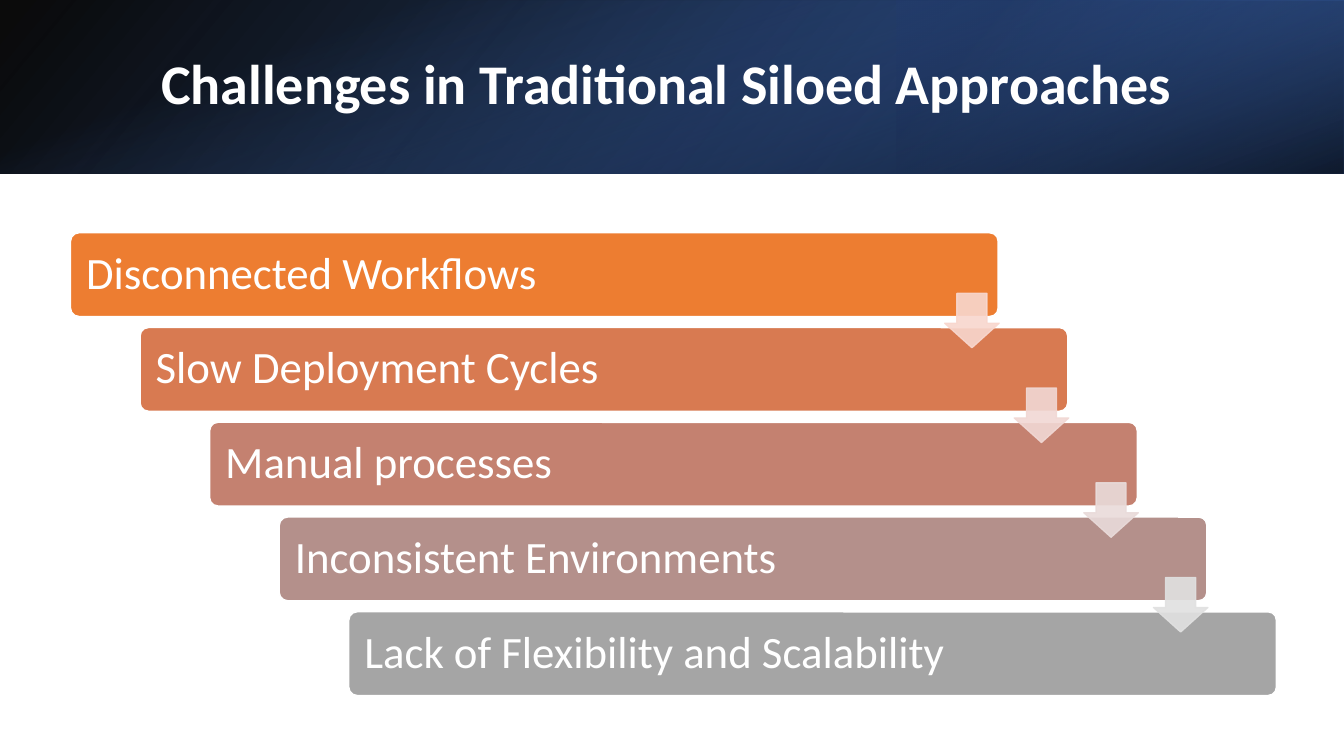
"""Build the slide on challenges in traditional siloed approaches."""
from lxml import etree
from pptx import Presentation
from pptx import util as u
from pptx.dml.color import RGBColor
from pptx.enum import shapes, text
from pptx.oxml.ns import qn

TITLE = "Challenges in Traditional Siloed Approaches"
CHALLENGES = [
    ("Disconnected Workflows", "ED7D31"),
    ("Slow Deployment Cycles", "D87A51"),
    ("Manual processes", "C48170"),
    ("Inconsistent Environments", "B4908B"),
    ("Lack of Flexibility and Scalability", "A5A5A5"),
]
ARROW_COLOURS = ["F8D7CE", "F1D8D4", "E9DBDA", "E1E1E1"]
BANNER_LAYERS = [
    {"at": (0, 0, 13.33, 1.72), "turn": 0, "flip": True, "angle": 140,
     "stops": [(0, "000000", 96), (100, "2F5597", 100)]},
    {"at": (8.89, 0, 4.44, 1.72), "turn": 180, "flip": True, "angle": 320,
     "stops": [(19, "203864", 68), (100, "4472C4", 79)]},
    {"at": (5.8, -5.8, 1.72, 13.33), "turn": 90, "flip": False, "angle": 340,
     "stops": [(23, "4472C4", 0), (99, "000000", 74)]},
]
BAR_LEFT, BAR_TOP, BAR_WIDTH, BAR_HEIGHT = 0.7, 2.31, 9.2, 0.83
STEP_X, STEP_Y = 0.69, 0.94
ARROW_DX, ARROW_DY, ARROW_SIZE = 8.67, 0.6, 0.54


def colour(value):
    return RGBColor.from_string(value)


def set_opacity(element, percent):
    for tone in element.iter(qn("a:srgbClr")):
        etree.SubElement(tone, qn("a:alpha")).set("val", str(percent * 1000))


def add_shape(page, kind, at):
    shape = page.shapes.add_shape(kind, *map(u.Inches, at))
    shape.shadow.inherit = False
    return shape


def paint(shape, fill, line):
    shape.fill.solid()
    shape.fill.fore_color.rgb = colour(fill)
    shape.line.color.rgb = colour(line)
    shape.line.width = u.Pt(1)


def write(shape, words, size, bold=False):
    frame = shape.text_frame
    frame.word_wrap = True
    frame.vertical_anchor = text.MSO_ANCHOR.MIDDLE
    para = frame.paragraphs[0]
    para.alignment = text.PP_ALIGN.LEFT
    para.line_spacing = 0.9
    span = para.add_run()
    span.text = words
    span.font.name = "Calibri"
    span.font.size = u.Pt(size)
    span.font.bold = bold
    span.font.color.rgb = colour("FFFFFF")
    return frame


def add_banner_layer(page, layer):
    shape = add_shape(page, shapes.MSO_SHAPE.RECTANGLE, layer["at"])
    shape.rotation = layer["turn"]
    shape.line.fill.background()
    if layer["flip"]:
        shape._element.spPr.get_or_add_xfrm().set("flipH", "1")
    shape.fill.gradient()
    shape.fill.gradient_angle = 360 - layer["angle"]
    for stop, (position, tone, opacity) in zip(shape.fill.gradient_stops, layer["stops"]):
        stop.position = position / 100
        stop.color.rgb = colour(tone)
        set_opacity(stop._gs, opacity)


def add_bar(page, index, words, fill):
    at = (BAR_LEFT + index * STEP_X, BAR_TOP + index * STEP_Y, BAR_WIDTH, BAR_HEIGHT)
    bar = add_shape(page, shapes.MSO_SHAPE.ROUNDED_RECTANGLE, at)
    bar.adjustments[0] = 0.1
    paint(bar, fill, "FFFFFF")
    frame = write(bar, words, 32)
    frame.margin_left = u.Inches(0.13)


def add_arrow(page, index, fill):
    at = (BAR_LEFT + ARROW_DX + index * STEP_X, BAR_TOP + ARROW_DY + index * STEP_Y,
          ARROW_SIZE, ARROW_SIZE)
    arrow = add_shape(page, shapes.MSO_SHAPE.DOWN_ARROW, at)
    arrow.adjustments[0] = 0.55
    arrow.adjustments[1] = 0.45
    paint(arrow, fill, fill)
    set_opacity(arrow._element.spPr, 90)


def main():
    deck = Presentation()
    deck.slide_width, deck.slide_height = u.Inches(13.33), u.Inches(7.5)
    page = deck.slides.add_slide(deck.slide_layouts[6])
    for layer in BANNER_LAYERS:
        add_banner_layer(page, layer)
    title = page.shapes.add_textbox(*map(u.Inches, (1.5, 0.38, 10.98, 0.96)))
    write(title, TITLE, 40, bold=True)
    for index, (words, fill) in enumerate(CHALLENGES):
        add_bar(page, index, words, fill)
    for index, fill in enumerate(ARROW_COLOURS):
        add_arrow(page, index, fill)
    deck.save("out.pptx")


if __name__ == "__main__":
    main()
